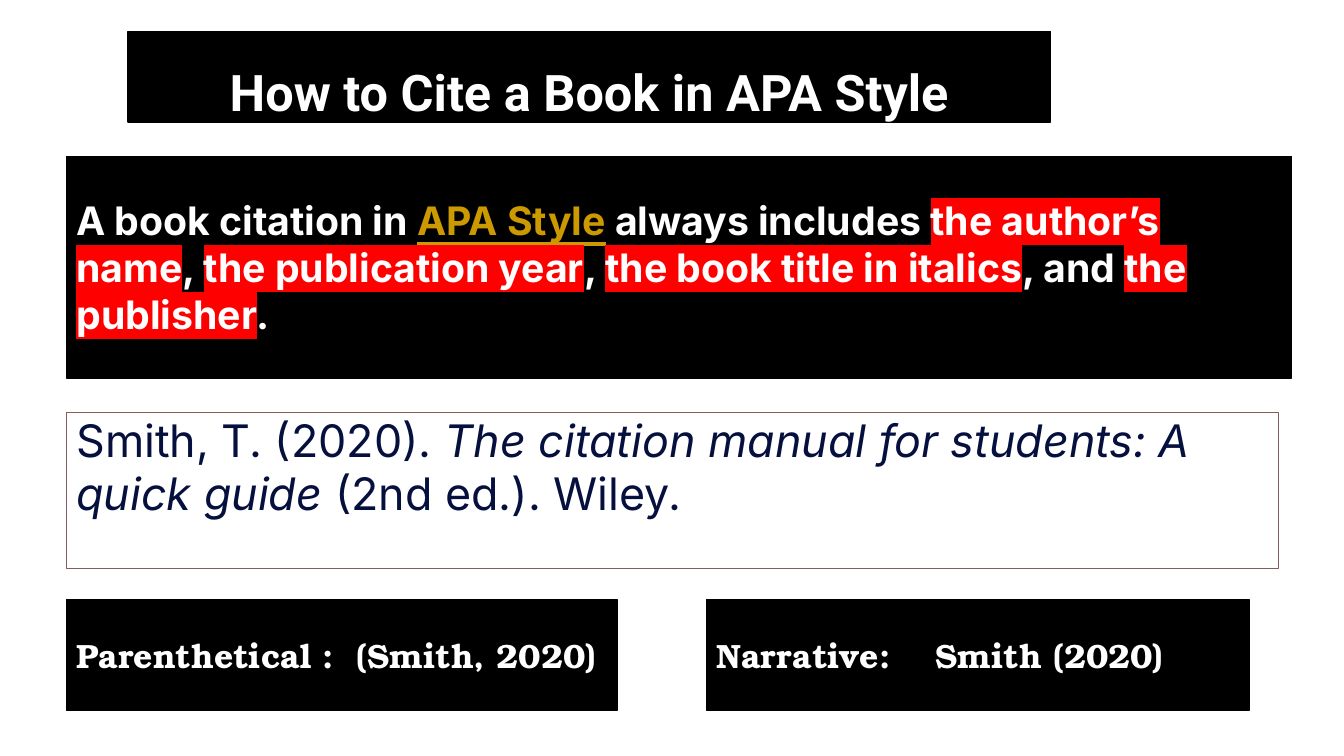
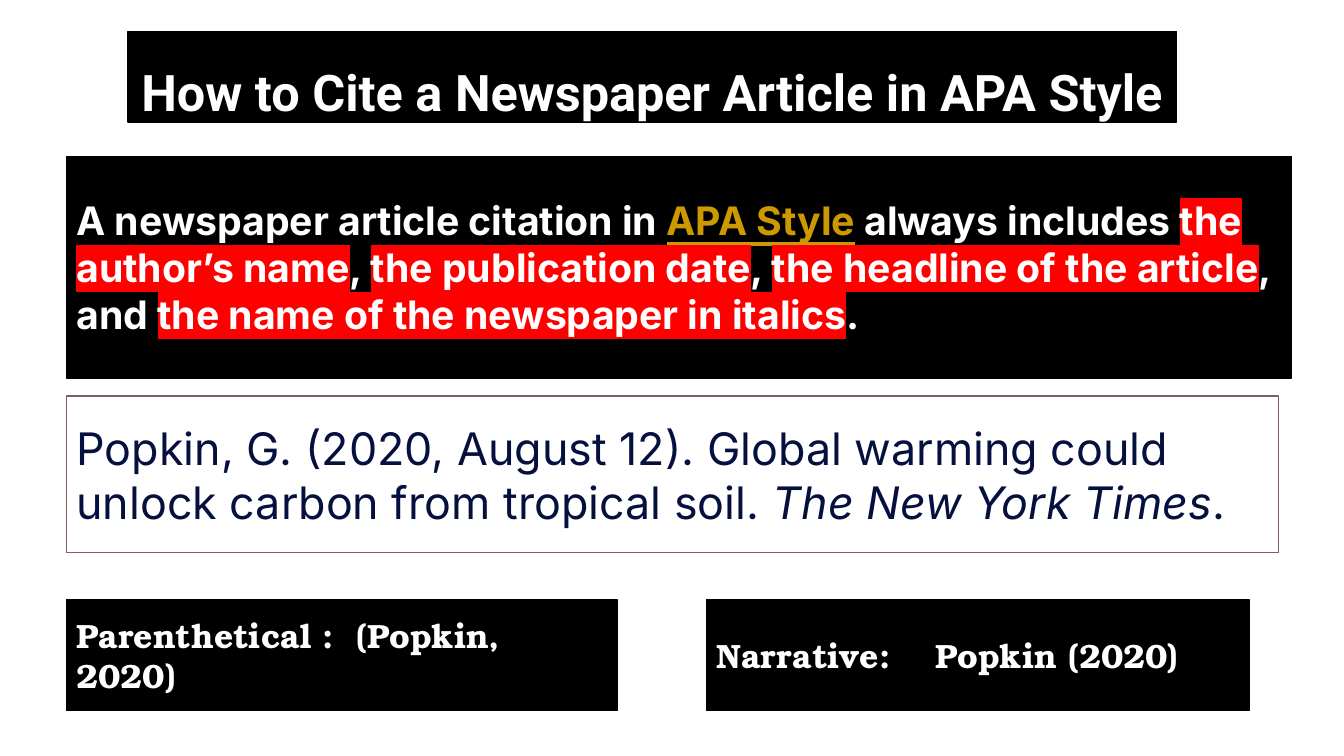
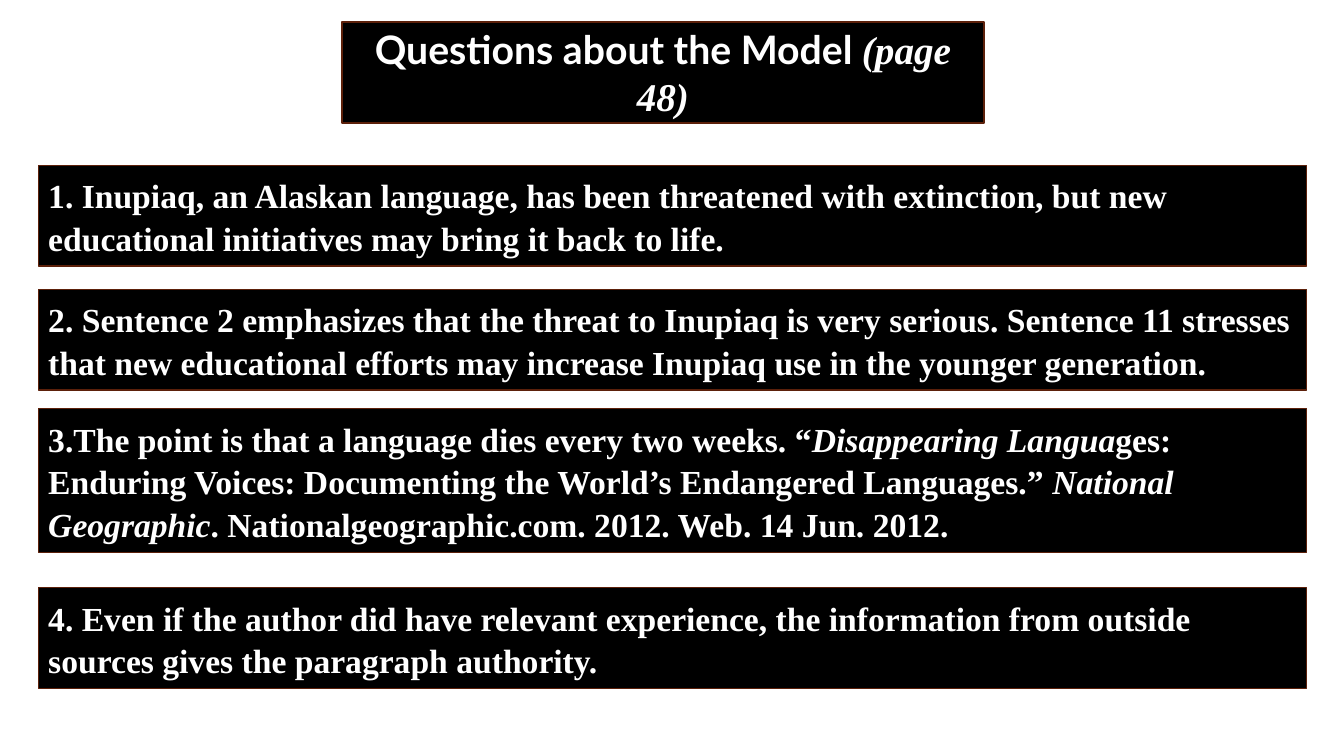
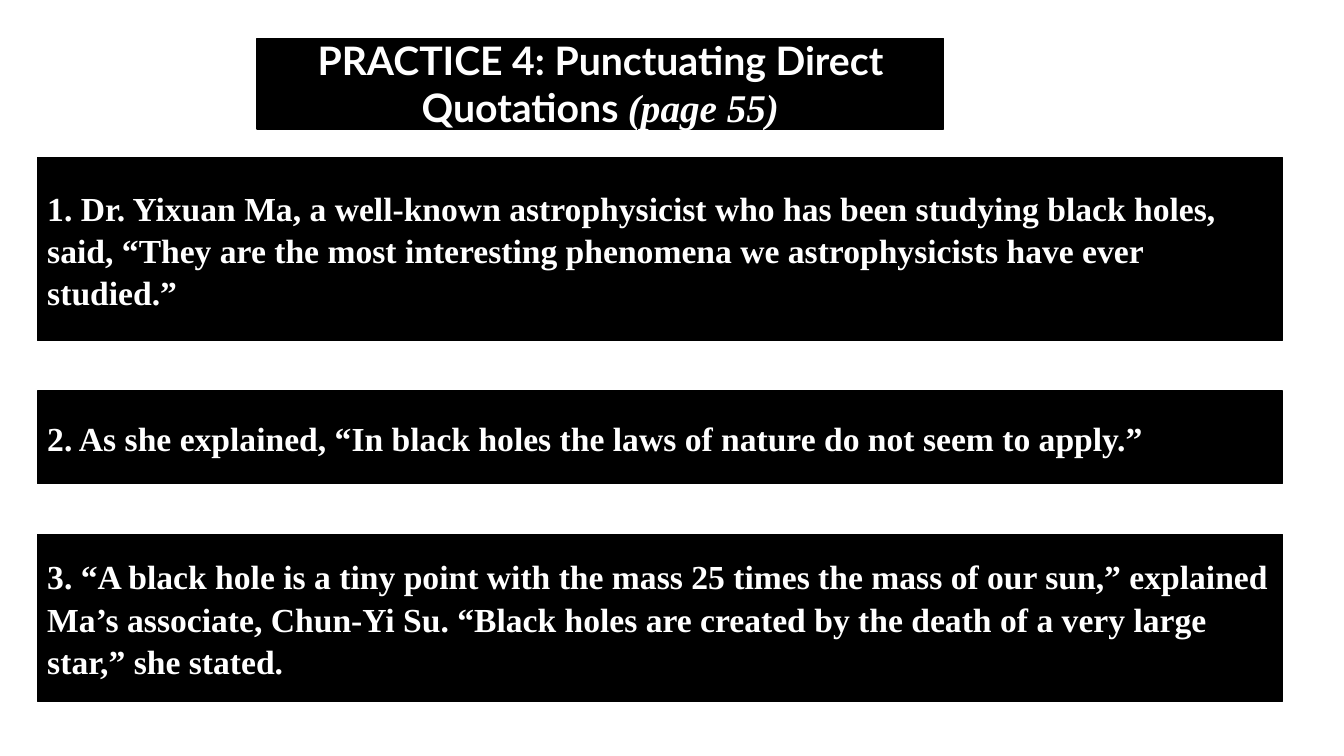
from dataclasses import dataclass

import pptx
import pptx.dml.color
import pptx.enum.shapes
import pptx.enum.text
import pptx.oxml.ns
import pptx.util
from lxml import etree

Inches = pptx.util.Inches
Pt = pptx.util.Pt
Anchor = pptx.enum.text.MSO_ANCHOR
Align = pptx.enum.text.PP_ALIGN
qn = pptx.oxml.ns.qn

COLORS = {
    "ink": "000000",
    "paper": "FFFFFF",
    "citation": "05103E",
    "citation_edge": "855D5D",
    "answer_edge": "5C200A",
    "term": "CC9900",
    "marker": "FF0000",
}

FORMATS = {
    "heading": {"name": "Roboto", "size": Pt(36), "bold": True},
    "rule": {"name": "Inter", "size": Pt(28), "bold": True},
    "citation": {"name": "Inter", "size": Pt(32), "bold": False},
    "in_text": {"name": "TeX Gyre Bonum", "size": Pt(24), "bold": True},
    "exercise": {"name": "Lato", "size": Pt(28), "bold": True},
    "answer": {"name": "Times New Roman", "size": Pt(24), "bold": True},
}

VARIANTS = {
    "plain": {},
    "italic": {"italic": True},
    "term": {"underline": True},
    "marked": {},
    "page": {"name": "Times New Roman", "italic": True},
}


@dataclass(frozen=True)
class Piece:
    text: str
    variant: str = "plain"


@dataclass(frozen=True)
class Panel:
    left: float
    top: float
    width: float
    height: float
    format: str
    fill: str = "ink"
    edge: str = "ink"
    color: str = "paper"
    align: Align = Align.LEFT
    anchor: Anchor = Anchor.MIDDLE
    inset: float = 0.05
    spacing: float = 1.0
    tab: float = 0


@dataclass(frozen=True)
class CitationGuide:
    title: str
    title_width: float
    rule: list[Piece]
    citation: list[Piece]
    citation_top: float
    citation_anchor: Anchor
    parenthetical: str
    narrative: str


@dataclass(frozen=True)
class Answer:
    top: float
    height: float
    pieces: list[Piece]


@dataclass(frozen=True)
class Exercise:
    title: list[list[Piece]]
    title_box: tuple[float, float, float, float]
    left: float
    width: float
    edge: str
    answers: list[Answer]


def rgb(key: str) -> pptx.dml.color.RGBColor:
    return pptx.dml.color.RGBColor.from_string(COLORS[key])


def add_piece(paragraph, piece: Piece, panel: Panel) -> None:
    run = paragraph.add_run()
    run.text = piece.text
    for attribute, value in (FORMATS[panel.format] | VARIANTS[piece.variant]).items():
        setattr(run.font, attribute, value)
    run.font.color.rgb = rgb("term" if piece.variant == "term" else panel.color)
    if piece.variant == "marked":
        highlight = etree.Element(qn("a:highlight"))
        etree.SubElement(highlight, qn("a:srgbClr"), val=COLORS["marker"])
        run.font._element.find(qn("a:solidFill")).addnext(highlight)


def fill_panel(shape, panel: Panel, lines: list[list[Piece]]) -> None:
    """Place and paint a shape, then write one paragraph per line."""
    for side in ("left", "top", "width", "height"):
        setattr(shape, side, Inches(getattr(panel, side)))
    shape.fill.solid()
    shape.fill.fore_color.rgb = rgb(panel.fill)
    shape.line.color.rgb = rgb(panel.edge)
    shape.line.width = Pt(1)

    frame = shape.text_frame
    settings = {
        "word_wrap": True,
        "auto_size": pptx.enum.text.MSO_AUTO_SIZE.NONE,
        "vertical_anchor": panel.anchor,
        "margin_left": Inches(0.1),
        "margin_right": Inches(0.1),
        "margin_top": Inches(panel.inset),
        "margin_bottom": Inches(panel.inset),
    }
    for attribute, value in settings.items():
        setattr(frame, attribute, value)
    for index, line in enumerate(lines):
        paragraph = frame.add_paragraph() if index else frame.paragraphs[0]
        paragraph.alignment = panel.align
        paragraph.line_spacing = panel.spacing
        if panel.tab:
            tabs = etree.SubElement(paragraph._p.get_or_add_pPr(), qn("a:tabLst"))
            etree.SubElement(tabs, qn("a:tab"), pos=str(Inches(panel.tab)), algn="l")
        for piece in line:
            add_piece(paragraph, piece, panel)


def add_panel(slide, panel: Panel, pieces: list[Piece]) -> None:
    shape = slide.shapes.add_shape(pptx.enum.shapes.MSO_SHAPE.RECTANGLE, 0, 0, 0, 0)
    shape.shadow.inherit = False
    fill_panel(shape, panel, [pieces])


def add_titled_slide(deck, panel: Panel, lines: list[list[Piece]]):
    slide = deck.slides.add_slide(deck.slide_layouts[5])
    fill_panel(slide.shapes.title, panel, lines)
    return slide


def draw_guide(deck, guide: CitationGuide) -> None:
    heading = Panel(1.27, 0.31, guide.title_width, 0.9, "heading",
                    align=Align.CENTER, anchor=Anchor.BOTTOM, inset=0)
    slide = add_titled_slide(deck, heading, [[Piece(guide.title)]])
    add_panel(slide, Panel(0.66, 1.55, 12.15, 2.2, "rule"), guide.rule)
    citation = Panel(0.66, guide.citation_top, 12.02, 1.55, "citation",
                     fill="paper", edge="citation_edge", color="citation",
                     anchor=guide.citation_anchor, inset=0)
    add_panel(slide, citation, guide.citation)
    add_panel(slide, Panel(0.66, 5.95, 5.46, 1.1, "in_text", tab=2.78),
              [Piece(f"Parenthetical :\t{guide.parenthetical}")])
    add_panel(slide, Panel(7.01, 5.95, 5.38, 1.1, "in_text", tab=2.17),
              [Piece(f"Narrative:\t{guide.narrative}")])


def draw_exercise(deck, exercise: Exercise) -> None:
    heading = Panel(*exercise.title_box, "exercise", edge=exercise.edge, align=Align.CENTER)
    slide = add_titled_slide(deck, heading, exercise.title)
    for answer in exercise.answers:
        panel = Panel(exercise.left, answer.top, exercise.width, answer.height,
                      "answer", edge=exercise.edge, spacing=1.05)
        add_panel(slide, panel, answer.pieces)


def rule_pieces(source: str, parts: list[str]) -> list[Piece]:
    """Sentence listing the marked parts that a citation of the source needs."""
    pieces = [Piece(f"A {source} citation in "), Piece("APA Style", "term"),
              Piece(" always includes ")]
    for index, part in enumerate(parts):
        if index:
            pieces.append(Piece(", and " if index == len(parts) - 1 else ", "))
        pieces.append(Piece(part, "marked"))
    return pieces + [Piece(".")]


GUIDES = [
    CitationGuide(
        "How to Cite a Book in APA Style", 9.15,
        rule_pieces("book", ["the author’s name", "the publication year",
                             "the book title in italics", "the publisher"]),
        [Piece("Smith, T. (2020). "),
         Piece("The citation manual for students: A quick guide", "italic"),
         Piece(" (2nd ed.). Wiley.")],
        4.09, Anchor.TOP, "(Smith, 2020)", "Smith (2020)",
    ),
    CitationGuide(
        "How to Cite a Newspaper Article in APA Style", 10.4,
        rule_pieces("newspaper article",
                    ["the author’s name", "the publication date",
                     "the headline of the article",
                     "the name of the newspaper in italics"]),
        [Piece("Popkin, G. (2020, August 12). Global warming could unlock "
               "carbon from tropical soil. "),
         Piece("The New York Times", "italic"), Piece(".")],
        3.93, Anchor.MIDDLE, "(Popkin, 2020)", "Popkin (2020)",
    ),
]

EXERCISES = [
    Exercise(
        [[Piece("Questions about the Model "), Piece("(page 48)", "page")]],
        (3.39, 0.22, 6.37, 1), 0.38, 12.58, "answer_edge",
        [
            Answer(1.64, 1, [Piece(
                "1. Inupiaq, an Alaskan language, has been threatened with extinction, "
                "but new educational initiatives may bring it back to life.")]),
            Answer(2.87, 1, [Piece(
                "2. Sentence 2 emphasizes that the threat to Inupiaq is very serious. "
                "Sentence 11 stresses that new educational efforts may increase "
                "Inupiaq use in the younger generation.")]),
            Answer(4.05, 1.43, [
                Piece("3.The point is that a language dies every two weeks. “"),
                Piece("Disappearing Langua", "italic"),
                Piece("ges: Enduring Voices: Documenting the World’s "
                      "Endangered Languages.” "),
                Piece("National Geographic", "italic"),
                Piece(". Nationalgeographic.com. 2012. Web. 14 Jun. 2012.")]),
            Answer(5.83, 1, [Piece(
                "4. Even if the author did have relevant experience, the information "
                "from outside sources gives the paragraph authority.")]),
        ],
    ),
    Exercise(
        [[Piece("PRACTICE 4: Punctuating Direct")],
         [Piece("Quotations "), Piece("(page 55)", "page")]],
        (2.55, 0.38, 6.81, 0.9), 0.37, 12.35, "ink",
        [
            Answer(1.56, 1.82, [Piece(
                "1. Dr. Yixuan Ma, a well-known astrophysicist who has been studying "
                "black holes, said, “They are the most interesting phenomena we "
                "astrophysicists have ever studied.”")]),
            Answer(3.88, 0.92, [Piece(
                "2. As she explained, “In black holes the laws of nature do not seem "
                "to apply.”")]),
            Answer(5.3, 1.66, [Piece(
                "3. “A black hole is a tiny point with the mass 25 times the mass of "
                "our sun,” explained Ma’s associate, Chun-Yi Su. “Black holes are "
                "created by the death of a very large star,” she stated.")]),
        ],
    ),
]


def main() -> None:
    deck = pptx.Presentation()
    deck.slide_width = Inches(13.33)
    deck.slide_height = Inches(7.5)
    for guide in GUIDES:
        draw_guide(deck, guide)
    for exercise in EXERCISES:
        draw_exercise(deck, exercise)
    deck.save("out.pptx")


if __name__ == "__main__":
    main()
